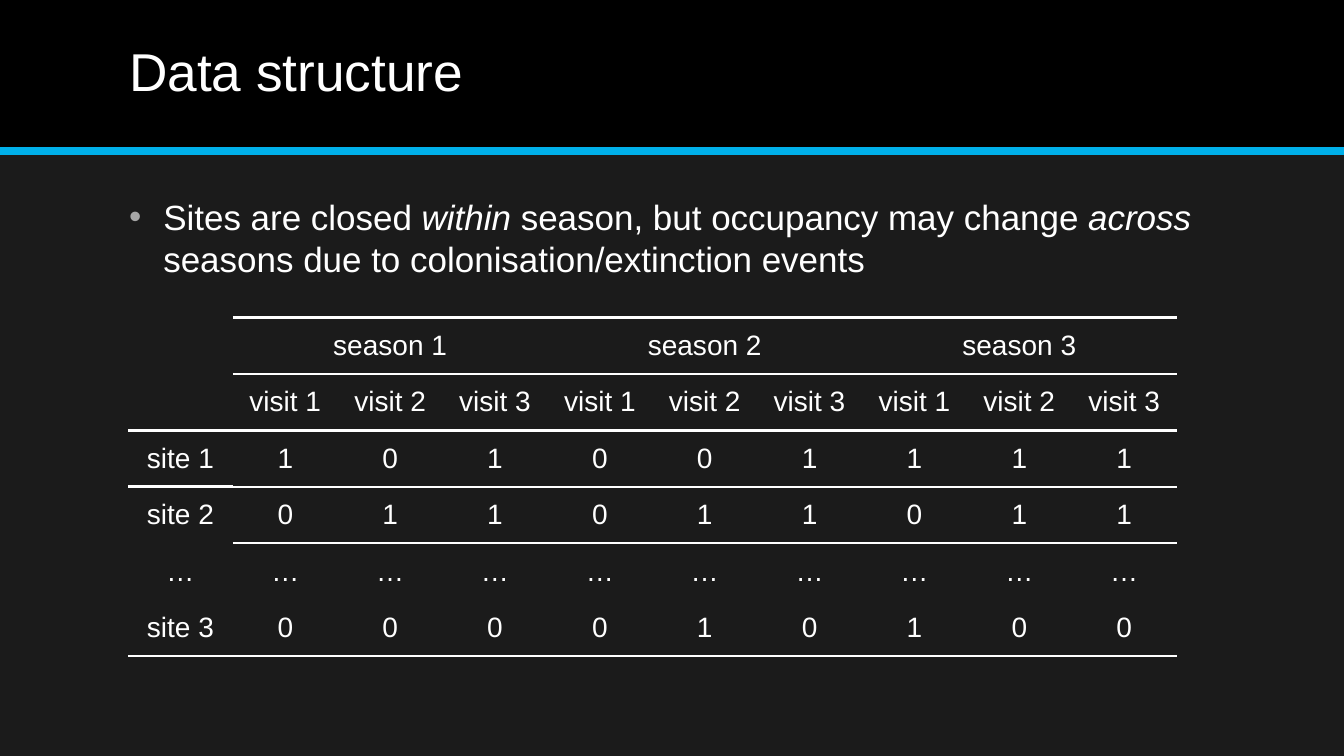
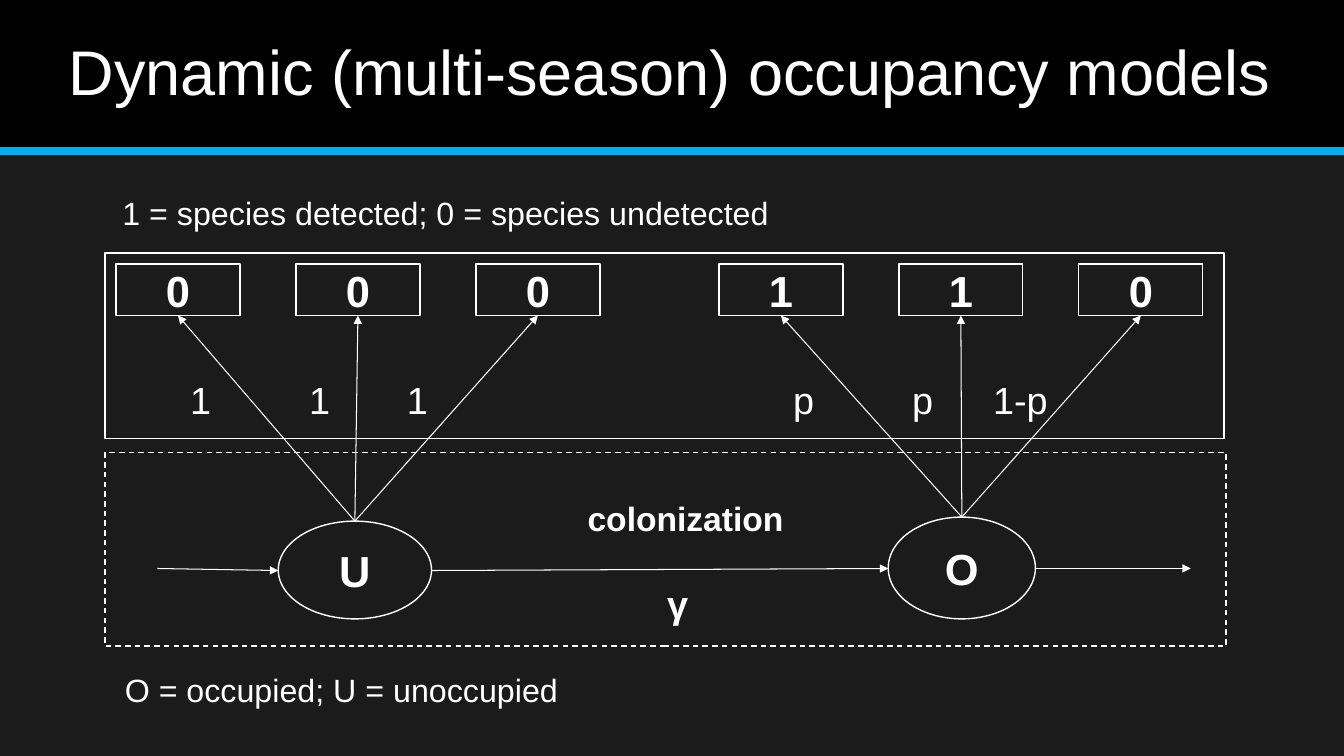
from lxml.etree import SubElement
from pptx import Presentation
from pptx.dml.color import RGBColor
from pptx.enum.dml import MSO_LINE
from pptx.enum.shapes import MSO_CONNECTOR, MSO_SHAPE
from pptx.enum.text import MSO_ANCHOR, MSO_AUTO_SIZE, PP_ALIGN
from pptx.oxml.ns import qn
from pptx.util import Inches, Pt

FONT = "Arial"
WHITE, BLACK, DARK, BLUE, GREY = "FFFFFF", "000000", "1B1B1B", "00B0EA", "A6A6A6"
WIDTH, HEIGHT = 13.33, 7.5
BAND = HEIGHT / 5
PLAIN_TABLE = "{2D5ABB26-0587-4C30-8999-92F81FD0307C}"
hex_color = RGBColor.from_string


def write(frame, text, size, bold=False, align=PP_ALIGN.CENTER, anchor=MSO_ANCHOR.MIDDLE):
    """Fill a text frame; parts between asterisks become italic."""
    frame.word_wrap = True
    frame.auto_size = MSO_AUTO_SIZE.NONE
    frame.vertical_anchor = anchor
    frame.margin_left = frame.margin_right = Inches(0.11)
    frame.margin_top = frame.margin_bottom = Inches(0.06)
    para = frame.paragraphs[0]
    para.alignment = align
    para.space_before = Pt(0)
    for index, part in enumerate(text.split("*")):
        span = para.add_run()
        span.text = part
        span.font.name, span.font.size = FONT, Pt(size)
        span.font.bold, span.font.italic = bold, index % 2 == 1
        span.font.color.rgb = hex_color(WHITE)
    return para


def draw_line(page, start, end, color=WHITE, width=0.75, arrow=True):
    """Draw a straight line between two points in inches."""
    line = page.shapes.add_connector(MSO_CONNECTOR.STRAIGHT, *map(Inches, start + end))
    line.line.color.rgb = hex_color(color)
    line.line.width = Pt(width)
    properties = line.element.spPr
    if arrow:
        SubElement(properties.find(qn("a:ln")), qn("a:tailEnd"), type="triangle")
    SubElement(properties, qn("a:effectLst"))
    return line


deck = Presentation()
deck.slide_width, deck.slide_height = Inches(WIDTH), Inches(HEIGHT)
data_page = deck.slides.add_slide(deck.slide_layouts[1])
model_page = deck.slides.add_slide(deck.slide_layouts[5])

# Shared background and title band, moved to the master
master = deck.slide_master
master.background.fill.solid()
master.background.fill.fore_color.rgb = hex_color(DARK)
band = data_page.shapes.add_shape(MSO_SHAPE.RECTANGLE, 0, 0, Inches(WIDTH), Inches(BAND))
band.shadow.inherit = False
band.fill.solid()
band.fill.fore_color.rgb = hex_color(BLACK)
band.line.fill.background()
rule = draw_line(data_page, (0, BAND), (WIDTH, BAND), BLUE, 6, arrow=False)
for position, shape in enumerate((band, rule), start=2):
    master.shapes.element.insert(position, shape.element)

# Titles
titles = [
    (data_page, "Data structure", 1.17, 11, 38, PP_ALIGN.LEFT),
    (model_page, "Dynamic (multi-season) occupancy models", 0.13, 13.02, 45, PP_ALIGN.CENTER),
]
for page, text, left, width, size, align in titles:
    title = page.shapes.title
    title.left, title.top, title.width, title.height = map(Inches, (left, 0.14, width, 1.2))
    write(title.text_frame, text, size, align=align).line_spacing = 0.9

# Data page: bullet
body = data_page.placeholders[1]
body.left, body.top, body.width, body.height = map(Inches, (1.17, 1.88, 11, 4.88))
para = write(
    body.text_frame,
    "Sites are closed *within *season, but occupancy may change *across *"
    "seasons due to colonisation/extinction events",
    25, align=PP_ALIGN.LEFT, anchor=MSO_ANCHOR.TOP)
settings = para._p.get_or_add_pPr()
settings.set("marL", str(Inches(0.34)))
settings.set("indent", str(-Inches(0.34)))
SubElement(SubElement(settings, qn("a:buClr")), qn("a:srgbClr"), val=GREY)
SubElement(settings, qn("a:buFont"), typeface=FONT)
SubElement(settings, qn("a:buChar"), char="•")

# Data page: one table per season, the first with the site names
COLUMN, ROW = 1.04, 0.56
sites = ["", "", "site 1", "site 2", "…", "site 3"]
seasons = [
    ["101", "011", "………", "000"],
    ["001", "011", "………", "010"],
    ["111", "011", "………", "100"],
]
row_borders = [  # points above and below each row
    (2.25, 1.5), (1.5, 2.25), (2.25, 1.5), (1.5, 0), (0, 0), (0, 2.25)]
site_borders = [(0, 0), (0, 2.25), (2.25, 0), (0, 0), (0, 0), (0, 2.25)]
left = 1.27
for number, records in enumerate(seasons, start=1):
    rows = [[f"season {number}", "", ""], [f"visit {visit}" for visit in (1, 2, 3)]]
    rows += [list(record) for record in records]
    names = 1 if number == 1 else 0
    if names:
        rows = [[site] + row for site, row in zip(sites, rows)]
    columns = len(rows[0])
    frame = data_page.shapes.add_table(
        len(rows), columns, Inches(left), Inches(3.15),
        Inches(columns * COLUMN), Inches(len(rows) * ROW))
    left += columns * COLUMN
    table = frame.table
    table.first_row = table.horz_banding = False
    next(frame.element.iter(qn("a:tableStyleId"))).text = PLAIN_TABLE
    for r, row in enumerate(rows):
        for c, text in enumerate(row):
            cell = table.cell(r, c)
            cell.vertical_anchor = MSO_ANCHOR.MIDDLE
            para = cell.text_frame.paragraphs[0]
            para.text = text
            para.alignment = PP_ALIGN.CENTER
            for span in para.runs:
                span.font.name, span.font.size = FONT, Pt(20)
                span.font.color.rgb = hex_color(WHITE)
            borders = site_borders if c < names else row_borders
            for tag, points in zip(("a:lnT", "a:lnB"), borders[r]):
                if points:
                    edge = SubElement(cell._tc.get_or_add_tcPr(), qn(tag), w=str(Pt(points)))
                    SubElement(SubElement(edge, qn("a:solidFill")), qn("a:srgbClr"), val=WHITE)
            cell.fill.background()
    table.cell(0, names).merge(table.cell(0, columns - 1))

# Model page: frames, states and detection boxes
BOX_WIDTH, BOX_HEIGHT, BOX_TOP, BOX_STEP = 1.23, 0.51, 2.62, 1.785
groups = [  # left edge, detections, probabilities, top of the state
    (1.15, "000", ["1", "1", "1"], (3.52, 5.17)),
    (7.13, "110", ["p", "p", "1-p"], (9.54, 5.13)),
]
outlines = [
    (MSO_SHAPE.RECTANGLE, "", 1.04, 2.51, 11.1, 1.84),
    (MSO_SHAPE.RECTANGLE, "", 1.04, 4.49, 11.12, 1.92),
    (MSO_SHAPE.OVAL, "U", 2.76, 5.17, 1.52, 0.97),
    (MSO_SHAPE.OVAL, "O", 8.81, 5.13, 1.46, 1.01),
]
labels = [  # text, left, top, width, height, size, bold
    ("1 = species detected; 0 = species undetected", 1.03, 1.86, 6.79, 0.5, 23, False),
    ("O = occupied; U = unoccupied", 0.98, 6.59, 4.82, 0.5, 23, False),
    ("colonization", 5.66, 4.88, 2.28, 0.52, 24, True),
    ("γ", 5.88, 5.7, 1.68, 0.57, 27, True),
]
arrows = [
    ((1.56, 5.64), (2.76, 5.66)),
    ((4.28, 5.66), (8.81, 5.64)),
    ((10.27, 5.64), (11.81, 5.64)),
]
for group_left, detections, chances, state_top in groups:
    for index, (detection, chance) in enumerate(zip(detections, chances)):
        box_left = group_left + index * BOX_STEP
        outlines.append(
            (MSO_SHAPE.RECTANGLE, detection, box_left, BOX_TOP, BOX_WIDTH, BOX_HEIGHT))
        arrows.append((state_top, (box_left + BOX_WIDTH / 2, BOX_TOP + BOX_HEIGHT)))
        label_left = group_left + (0, 1.18, 2.15)[index]
        labels.append((chance, label_left, 3.68, 1.68, 0.57, 27, False))

for index, (kind, text, *place) in enumerate(outlines):
    outline = model_page.shapes.add_shape(kind, *map(Inches, place))
    outline.shadow.inherit = False
    outline.fill.background()
    outline.line.color.rgb = hex_color(WHITE)
    outline.line.width = Pt(1)
    if index == 1:
        outline.line.dash_style = MSO_LINE.DASH
    if text:
        write(outline.text_frame, text, 31, bold=True)

# Model page: arrows and labels
for start, end in arrows:
    draw_line(model_page, start, end)
for text, *place, size, bold in labels:
    label = model_page.shapes.add_textbox(*map(Inches, place))
    write(label.text_frame, text, size, bold, anchor=MSO_ANCHOR.TOP)

deck.save("out.pptx")
